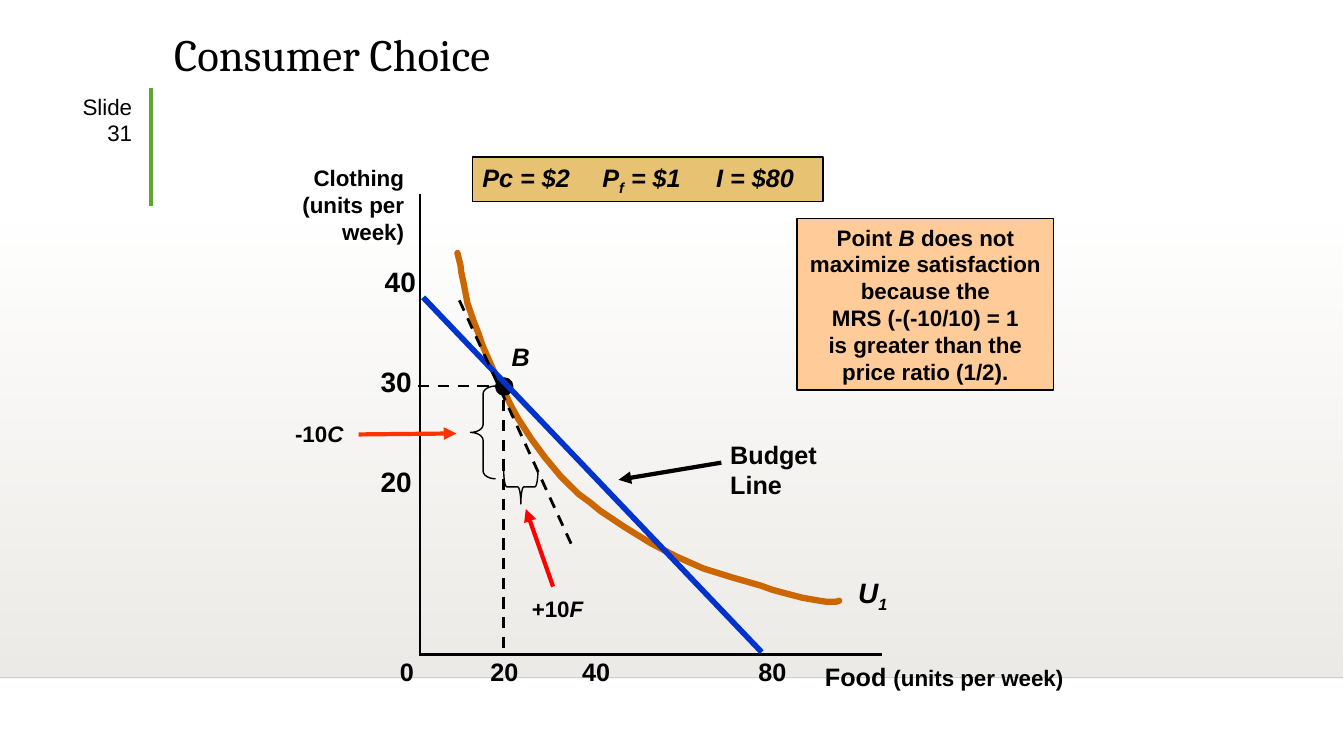
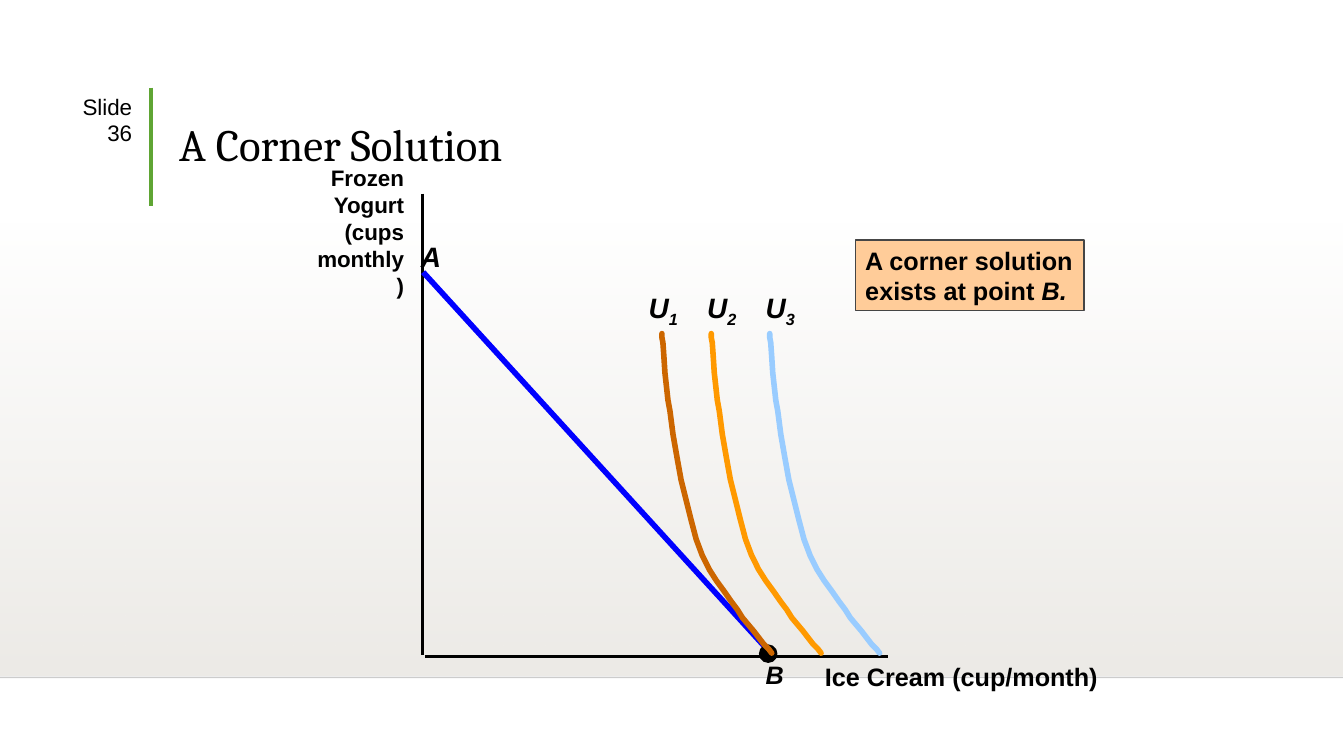
from dataclasses import dataclass
from typing import Optional

from lxml.etree import SubElement
from pptx import Presentation
from pptx.dml.color import RGBColor
from pptx.enum.dml import MSO_LINE
from pptx.enum.shapes import MSO_CONNECTOR, MSO_SHAPE
from pptx.enum.text import MSO_ANCHOR, MSO_AUTO_SIZE, PP_ALIGN
from pptx.oxml.ns import qn
from pptx.shapes.autoshape import Shape
from pptx.slide import Slide
from pptx.util import Inches, Pt

Point = tuple[float, float]


@dataclass(frozen=True)
class Theme:
    black: str = "000000"
    band: str = "EDEBE7"
    green: str = "5FA534"
    gold: str = "E7C272"
    peach: str = "FFCC99"
    grey: str = "454545"
    budget: str = "0033CC"
    corner_budget: str = "0000FF"
    brown: str = "CC6600"
    orange: str = "FF9900"
    sky: str = "99CCFF"
    red: str = "FF0000"
    vermilion: str = "FF3300"
    title_font: str = "Cambria"
    body_font: str = "Arial"
    title_size: int = 32
    large: int = 20
    medium: int = 18
    small: int = 16


THEME = Theme()


@dataclass(frozen=True)
class Run:
    text: str
    italic: bool = False
    subscript: bool = False
    size: Optional[int] = None


@dataclass(frozen=True)
class Label:
    left: float
    top: float
    width: float
    height: float
    lines: list[list[Run]]
    size: int = THEME.medium
    align: PP_ALIGN = PP_ALIGN.LEFT
    bold: bool = True
    font: str = THEME.body_font
    anchor: MSO_ANCHOR = MSO_ANCHOR.TOP
    wrap: bool = False
    line_spacing: Optional[float] = None
    fill: Optional[str] = None
    border: str = THEME.black
    tabs: tuple[float, ...] = ()


@dataclass(frozen=True)
class Stroke:
    start: Point
    end: Point
    color: str = THEME.black
    width: float = 2
    dashed: bool = False
    arrow: bool = False
    opacity: Optional[int] = None


@dataclass(frozen=True)
class Indifference:
    name: str
    left: float
    label_left: float
    color: str


def rgb(color: str) -> RGBColor:
    return RGBColor.from_string(color)


def set_opacity(shape: Shape, percent: int) -> None:
    color = shape.element.spPr.xpath(".//a:srgbClr")[0]
    SubElement(color, qn("a:alpha")).set("val", str(percent * 1000))


def add_stroke(slide: Slide, stroke: Stroke) -> None:
    connector = slide.shapes.add_connector(
        MSO_CONNECTOR.STRAIGHT, *(Inches(value) for value in stroke.start + stroke.end))
    connector.line.color.rgb = rgb(stroke.color)
    connector.line.width = Pt(stroke.width)
    if stroke.dashed:
        connector.line.dash_style = MSO_LINE.DASH
    properties = connector.element.spPr
    if stroke.arrow:
        SubElement(properties.find(qn("a:ln")), qn("a:tailEnd")).set("type", "triangle")
    if stroke.opacity is not None:
        set_opacity(connector, stroke.opacity)
    SubElement(properties, qn("a:effectLst"))


def add_label(slide: Slide, label: Label) -> None:
    frame = [Inches(value) for value in (label.left, label.top, label.width, label.height)]
    if label.fill:
        shape = slide.shapes.add_shape(MSO_SHAPE.RECTANGLE, *frame)
        shape.shadow.inherit = False
        shape.fill.solid()
        shape.fill.fore_color.rgb = rgb(label.fill)
        shape.line.color.rgb = rgb(label.border)
        shape.line.width = Pt(1)
    else:
        shape = slide.shapes.add_textbox(*frame)
    text_frame = shape.text_frame
    text_frame.word_wrap = label.wrap
    text_frame.auto_size = MSO_AUTO_SIZE.NONE if label.wrap else MSO_AUTO_SIZE.SHAPE_TO_FIT_TEXT
    text_frame.vertical_anchor = label.anchor
    text_frame.text = "\n".join("" for _ in label.lines)
    for paragraph, runs in zip(text_frame.paragraphs, label.lines):
        paragraph.alignment = label.align
        if label.line_spacing:
            paragraph.line_spacing = label.line_spacing
        if label.tabs:
            tab_list = SubElement(paragraph._p.get_or_add_pPr(), qn("a:tabLst"))
            for position in label.tabs:
                tab = SubElement(tab_list, qn("a:tab"))
                tab.set("pos", str(Inches(position)))
                tab.set("algn", "l")
        for item in runs:
            run = paragraph.add_run()
            run.text = item.text
            run.font.name = label.font
            run.font.size = Pt(item.size or label.size)
            run.font.bold = label.bold
            run.font.italic = item.italic
            run.font.color.rgb = rgb(THEME.black)
            if item.subscript:
                run.font._element.set("baseline", "-25000")


def add_curve(slide: Slide, points: list[Point], color: str, width: float) -> None:
    first, *others = [(Inches(x), Inches(y)) for x, y in points]
    builder = slide.shapes.build_freeform(*first)
    builder.add_line_segments(others, close=False)
    curve = builder.convert_to_shape()
    curve.shadow.inherit = False
    curve.fill.background()
    curve.line.color.rgb = rgb(color)
    curve.line.width = Pt(width)
    curve.element.spPr.find(qn("a:ln")).set("cap", "rnd")


def add_point(slide: Slide, left: float, top: float) -> None:
    point = slide.shapes.add_shape(
        MSO_SHAPE.OVAL, Inches(left), Inches(top), Inches(0.17), Inches(0.17))
    point.shadow.inherit = False
    point.fill.solid()
    point.fill.fore_color.rgb = rgb(THEME.black)
    point.line.color.rgb = rgb(THEME.black)
    point.line.width = Pt(1)


def add_brace(slide: Slide, left: float, top: float, width: float, height: float,
              corner: float, rotation: float = 0) -> None:
    brace = slide.shapes.add_shape(
        MSO_SHAPE.LEFT_BRACE, Inches(left), Inches(top), Inches(width), Inches(height))
    brace.adjustments[0] = corner
    brace.rotation = rotation
    brace.shadow.inherit = False
    brace.fill.background()
    brace.line.color.rgb = rgb(THEME.black)
    brace.line.width = Pt(1)


def plain(*texts: str) -> list[list[Run]]:
    return [[Run(text)] for text in texts]


def utility(index: str) -> list[list[Run]]:
    return [[Run("U", True), Run(index, True, True)]]


def add_framed_slide(presentation: Presentation, title: str, number: int,
                     left: float, top: float) -> Slide:
    slide = presentation.slides.add_slide(presentation.slide_layouts[6])
    band = slide.shapes.add_shape(
        MSO_SHAPE.RECTANGLE, Inches(0), Inches(2.2), Inches(13.33), Inches(4.5))
    band.shadow.inherit = False
    band.line.fill.background()
    band.fill.gradient()
    band.fill.gradient_angle = 270
    for stop in band.fill.gradient_stops:
        stop.color.rgb = rgb(THEME.band)
    set_opacity(band, 0)
    add_stroke(slide, Stroke((0, 6.72), (13.33, 6.72), width=1, opacity=20))
    add_stroke(slide, Stroke((1.5, 0.87), (1.5, 2.04), THEME.green, 3))
    add_label(slide, Label(left, top, 10.41, 1.15, plain(title), THEME.title_size, bold=False,
                           font=THEME.title_font, anchor=MSO_ANCHOR.MIDDLE, wrap=True,
                           line_spacing=0.9))
    add_label(slide, Label(0.52, 0.87, 0.89, 0.55, plain(f"Slide {number}"), THEME.small,
                           PP_ALIGN.RIGHT, bold=False, wrap=True))
    return slide


def build_consumer_choice(presentation: Presentation) -> None:
    slide = add_framed_slide(presentation, "Consumer Choice", 31, 1.63, -0.01)
    add_stroke(slide, Stroke((4.17, 1.92), (4.17, 6.5)))
    add_stroke(slide, Stroke((4.16, 6.49), (8.75, 6.49)))
    for text, left, width in (("0", 3.87, 0.34), ("20", 4.77, 0.48),
                              ("40", 5.68, 0.48), ("80", 7.43, 0.48)):
        add_label(slide, Label(left, 6.46, width, 0.4, plain(text)))
    for row, (text, left) in enumerate((("40", 3.72), ("30", 3.68), ("20", 3.68))):
        add_label(slide, Label(left, 2.58 + 0.99 * row, 0.51, 0.43, plain(text), THEME.large))
    add_curve(slide, [
        (4.54, 2.51), (4.55, 2.55), (4.57, 2.63), (4.58, 2.71), (4.6, 2.8), (4.64, 3.01),
        (4.71, 3.21), (4.75, 3.31), (4.79, 3.43), (4.9, 3.68), (5.02, 3.92), (5.08, 4.04),
        (5.14, 4.15), (5.27, 4.35), (5.41, 4.54), (5.56, 4.72), (5.74, 4.9), (5.85, 4.98),
        (5.96, 5.07), (6.2, 5.23), (6.46, 5.39), (6.71, 5.52), (6.98, 5.64), (7.27, 5.73),
        (7.55, 5.81), (7.66, 5.85), (7.77, 5.88), (7.96, 5.93), (8.13, 5.96), (8.2, 5.97),
        (8.26, 5.97), (8.3, 5.97), (8.33, 5.96)], THEME.brown, 4.5)
    add_point(slide, 4.92, 3.75)
    for stroke in (
        Stroke((4.15, 3.83), (4.94, 3.83), dashed=True),
        Stroke((5, 6.43), (5, 3.78), dashed=True),
        Stroke((4.2, 2.95), (7.56, 6.47), THEME.budget, 4),
        Stroke((7.16, 4.59), (6.14, 4.76), width=3, arrow=True),
        Stroke((5.49, 5.82), (5.22, 5.05), THEME.red, 3, arrow=True),
        Stroke((4.56, 2.98), (5.69, 5.44), dashed=True),
        Stroke((3.56, 4.31), (4.53, 4.3), THEME.vermilion, 3, arrow=True),
    ):
        add_stroke(slide, stroke)
    add_brace(slide, 4.67, 3.83, 0.25, 0.92, 0.31)
    add_brace(slide, 5, 4.66, 0.34, 0.34, 0.09, 270)
    for label in (
        Label(8.09, 6.51, 2.57, 0.4, [[Run("Food "), Run("(units per week)", size=THEME.small)]]),
        Label(2.9, 1.58, 1.21, 0.9, plain("Clothing", "(units per", "week)"),
              THEME.small, PP_ALIGN.RIGHT),
        Label(8.42, 5.66, 0.49, 0.48, utility("1"), THEME.large),
        Label(4.98, 3.34, 0.38, 0.4, [[Run("B", True)]]),
        Label(7.15, 4.31, 1.64, 0.4, plain("Budget Line")),
        Label(2.83, 4.12, 0.68, 0.36, [[Run("-10"), Run("C", True)]], THEME.small),
        Label(5.18, 5.86, 0.71, 0.36, [[Run("+10"), Run("F", True)]], THEME.small),
        Label(4.69, 1.56, 3.48, 0.44,
              [[Run("Pc = $2\tP", True), Run("f", True, True), Run(" = $1\tI = $80", True)]],
              wrap=True, fill=THEME.gold, tabs=(1.19, 2.32)),
        Label(7.91, 2.17, 2.55, 1.7,
              [[Run("Point "), Run("B", True), Run(" does not")],
               *plain("maximize satisfaction", "because the", "MRS (-(-10/10) = 1",
                      "is greater than the", "price ratio (1/2).")],
              THEME.small, PP_ALIGN.CENTER, fill=THEME.peach),
    ):
        add_label(slide, label)


def build_corner_solution(presentation: Presentation) -> None:
    slide = add_framed_slide(presentation, "A Corner Solution", 36, 1.68, 0.88)
    add_stroke(slide, Stroke((4.19, 1.92), (4.19, 6.5)))
    add_stroke(slide, Stroke((4.22, 6.51), (8.81, 6.51)))
    add_stroke(slide, Stroke((4.2, 2.7), (7.64, 6.47), THEME.corner_budget, 4))
    add_point(slide, 7.54, 6.4)
    profile = [
        (0, 3.31), (0, 3.35), (0.01, 3.4), (0.02, 3.54), (0.03, 3.7), (0.05, 3.88),
        (0.06, 3.97), (0.08, 4.08), (0.11, 4.31), (0.15, 4.54), (0.19, 4.76), (0.24, 4.96),
        (0.29, 5.16), (0.34, 5.35), (0.4, 5.51), (0.47, 5.65), (0.54, 5.76), (0.62, 5.87),
        (0.69, 5.97), (0.75, 6.05), (0.8, 6.13), (0.91, 6.26), (1.01, 6.39), (1.06, 6.44),
        (1.09, 6.48)]
    for curve in (Indifference("1", 6.57, 6.34, THEME.brown),
                  Indifference("2", 7.06, 6.92, THEME.orange),
                  Indifference("3", 7.64, 7.5, THEME.sky)):
        add_curve(slide, [(curve.left + x, y) for x, y in profile], curve.color, 4)
        add_label(slide, Label(curve.label_left, 2.83, 0.49, 0.48, utility(curve.name),
                               THEME.large))
    for label in (
        Label(8.09, 6.51, 2.91, 0.4, plain("Ice Cream (cup/month)")),
        Label(2.98, 1.58, 1.13, 1.16, plain("Frozen", "Yogurt", "(cups", "monthly)"),
              THEME.small, PP_ALIGN.RIGHT),
        Label(7.5, 6.49, 0.38, 0.4, [[Run("B", True)]]),
        Label(4.08, 2.33, 0.4, 0.43, [[Run("A", True)]], THEME.large),
        Label(8.49, 2.38, 2.27, 0.7,
              [[Run("A corner solution")], [Run("exists at point "), Run("B.", True)]],
              fill=THEME.peach, border=THEME.grey),
    ):
        add_label(slide, label)


def main() -> None:
    presentation = Presentation()
    presentation.slide_width = Inches(13.34)
    presentation.slide_height = Inches(7.5)
    build_consumer_choice(presentation)
    build_corner_solution(presentation)
    presentation.save("out.pptx")


if __name__ == "__main__":
    main()
